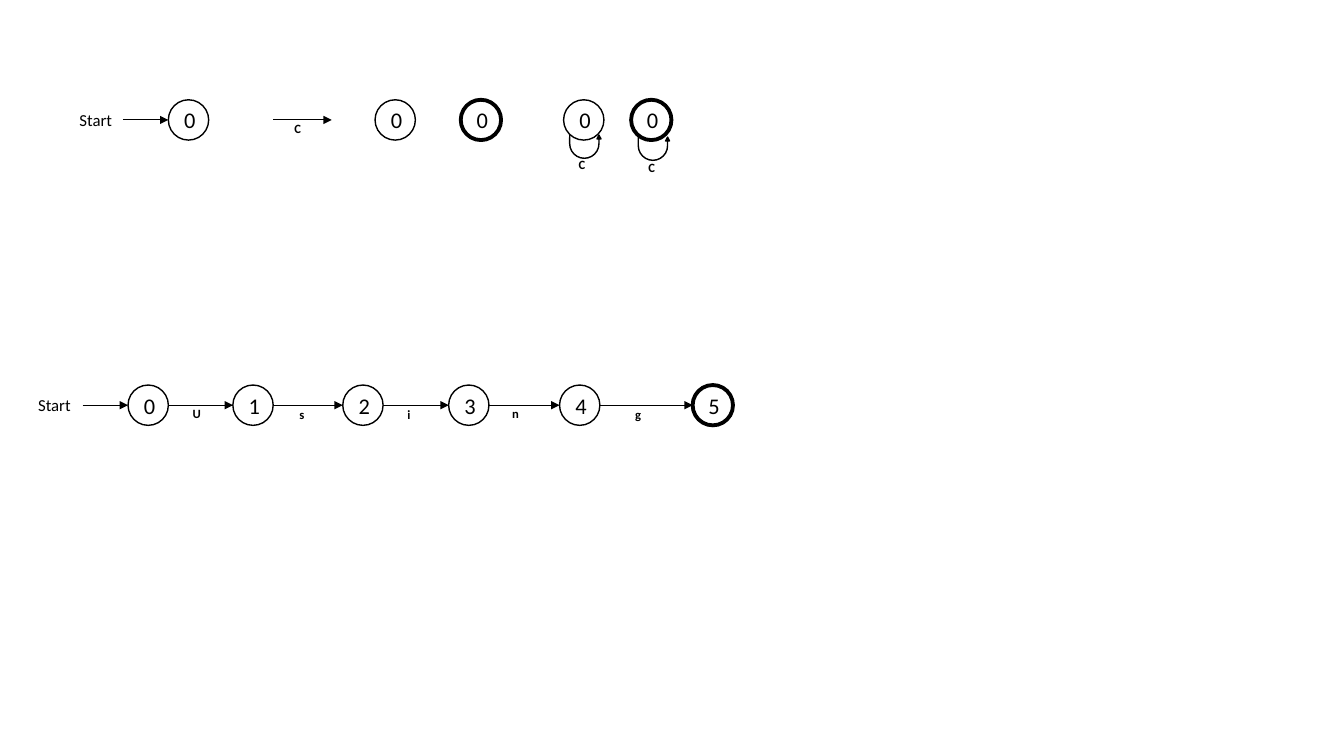
"""Build a slide with automaton symbols above the state chain that accepts "Using"."""
from lxml import etree
from pptx import Presentation
from pptx.dml.color import RGBColor
from pptx.enum.dml import MSO_LINE
from pptx.enum.shapes import MSO_CONNECTOR, MSO_SHAPE
from pptx.enum.text import MSO_ANCHOR, PP_ALIGN
from pptx.oxml.ns import qn
from pptx.util import Pt

PX = 9144
COLOURS = {"ink": "000000"}
INK = RGBColor.from_string(COLOURS["ink"])
SOLID = MSO_LINE.SOLID
STRAIGHT = MSO_CONNECTOR.STRAIGHT
OVAL, U_TURN = MSO_SHAPE.OVAL, MSO_SHAPE.U_TURN_ARROW
MIDDLE, TOP = MSO_ANCHOR.MIDDLE, MSO_ANCHOR.TOP
CENTER, LEFT = PP_ALIGN.CENTER, PP_ALIGN.LEFT

STATE = 40
SYMBOL_TOP, CHAIN_TOP = 99, 382
THIN, BOLD = 1, 2.75


def write(holder, words, size, bold, align, anchor):
    frame = holder.text_frame
    frame.vertical_anchor = anchor
    paragraph = frame.paragraphs[0]
    paragraph.alignment = align
    run = paragraph.add_run()
    run.text = words
    run.font.name = "Calibri"
    run.font.size = Pt(size)
    run.font.bold = bold
    run.font.color.rgb = INK
    return frame


def outline(drawn, width):
    drawn.line.color.rgb = INK
    drawn.line.width = Pt(width)
    drawn.line.dash_style = SOLID


deck = Presentation()
deck.slide_width, deck.slide_height = 1333 * PX, 750 * PX
slide = deck.slides.add_slide(deck.slide_layouts[6])
shapes = slide.shapes

chain = [("0", 127, THIN), ("1", 231, THIN), ("2", 340, THIN),
         ("3", 445, THIN), ("4", 555, THIN), ("5", 687, BOLD)]
symbols = [("0", 167, THIN), ("0", 372, THIN), ("0", 457, BOLD),
           ("0", 559, THIN), ("0", 626, BOLD)]

for top, states in ((SYMBOL_TOP, symbols), (CHAIN_TOP, chain)):
    for number, left, weight in states:
        state = shapes.add_shape(OVAL, left * PX, top * PX, STATE * PX, STATE * PX)
        state.shadow.inherit = False
        state.fill.background()
        outline(state, weight)
        write(state, number, 16, False, CENTER, MIDDLE).word_wrap = True

arrows = [(122, 167, SYMBOL_TOP), (271, 329, SYMBOL_TOP), (82, 127, CHAIN_TOP)]
arrows += [(here[1] + STATE, there[1], CHAIN_TOP)
           for here, there in zip(chain, chain[1:])]
for begin, end, top in arrows:
    middle = (top + STATE // 2) * PX
    arrow = shapes.add_connector(STRAIGHT, begin * PX, middle, end * PX, middle)
    outline(arrow, 0.75)
    properties = arrow.line._get_or_add_ln()
    etree.SubElement(properties, qn("a:tailEnd"), type="triangle")
    etree.SubElement(arrow._element.spPr, qn("a:effectLst"))

for left, top in ((565, 134), (633, 136)):
    loop = shapes.add_shape(U_TURN, left * PX, top * PX, 31 * PX, 23 * PX)
    for index, value in enumerate((0, 0.085, 0.164, 0.717, 1)):
        loop.adjustments[index] = value
    loop.rotation = 180
    loop._element.spPr.find(qn("a:xfrm")).set("flipH", "1")
    loop.shadow.inherit = False
    loop.fill.solid()
    loop.fill.fore_color.rgb = INK
    outline(loop, THIN)

for left, top in ((69, 104), (28, 387)):
    start = shapes.add_textbox(left * PX, top * PX, 53 * PX, 30 * PX)
    write(start, "Start", 12, False, LEFT, TOP).word_wrap = False

letters = [("C", 286, 115), ("C", 568, 151), ("C", 637, 154),
           ("U", 185, 398), ("s", 291, 399), ("i", 398, 399),
           ("n", 502, 398), ("g", 624, 399)]
for letter, left, top in letters:
    label = shapes.add_textbox(left * PX, top * PX, 16 * PX, 25 * PX)
    frame = write(label, letter, 9, True, LEFT, TOP)
    frame.word_wrap = True
    frame.margin_left, frame.margin_right = 6 * PX, 0

deck.save("out.pptx")
